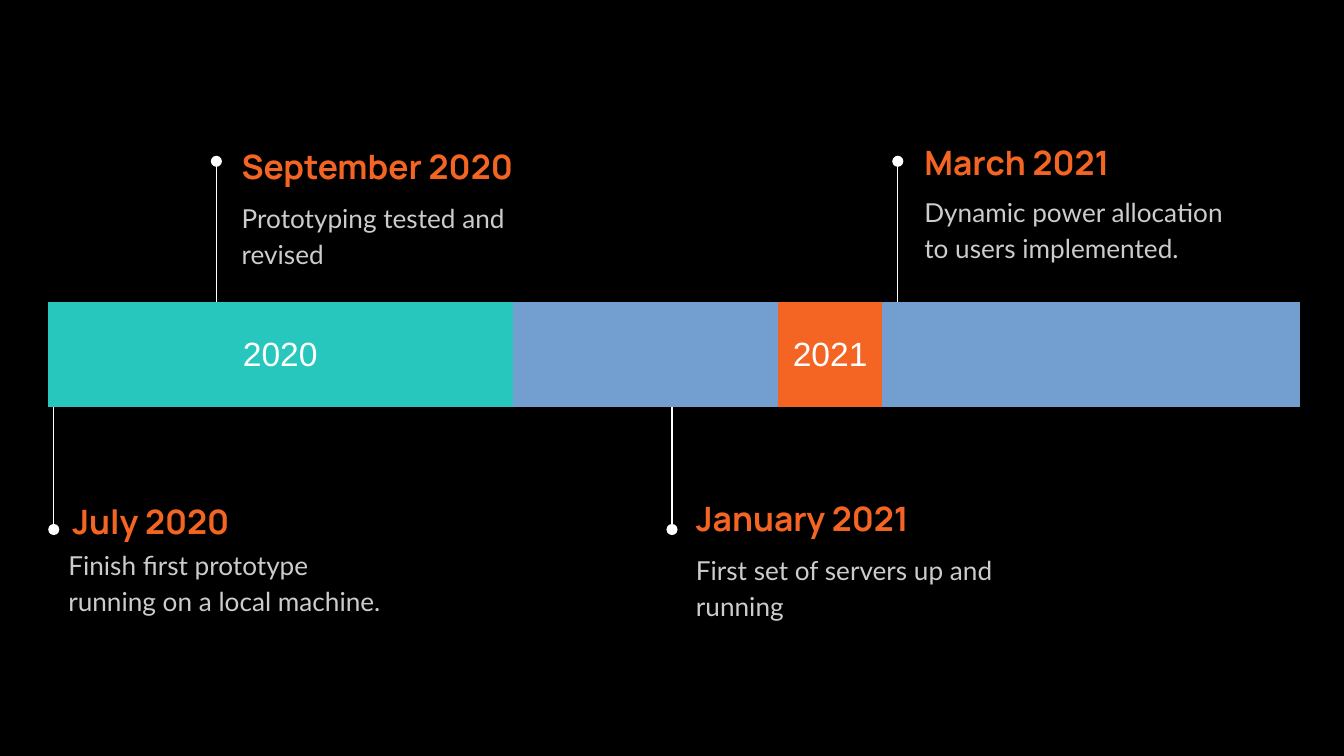
from lxml import etree
from pptx import Presentation
from pptx.dml.color import RGBColor
from pptx.enum.shapes import MSO_CONNECTOR
from pptx.enum.text import MSO_ANCHOR, PP_ALIGN
from pptx.oxml.ns import qn
from pptx.util import Inches, Pt

STRAIGHT = MSO_CONNECTOR.STRAIGHT
TOP, MIDDLE = MSO_ANCHOR.TOP, MSO_ANCHOR.MIDDLE
LEFT, CENTER = PP_ALIGN.LEFT, PP_ALIGN.CENTER

BLACK, WHITE, GREY = "000000", "FFFFFF", "CCCCCC"
TEAL, BLUE, ORANGE = "27C7BD", "729FCF", "F46524"
NO_STYLE_NO_GRID = "{2D5ABB26-0587-4C30-8999-92F81FD0307C}"
SLIDE_WIDTH = 10
SLIDE_HEIGHT = SLIDE_WIDTH * 9 / 16
INSET = 0.1

# Year bar: twelve columns, two of them with a width of their own
BAR_LEFT, BAR_TOP, BAR_WIDTH, BAR_HEIGHT = 0.355, 2.25, 9.32, 0.78
COLUMN_COUNT = 12
SPECIAL_WIDTHS = {3: 1.13, 4: 0.42}
# label, first column, last column, fill
YEARS = [("2020", 0, 3, TEAL), ("2021", 4, 11, ORANGE)]

# Ends of the marker lines: start on the bar, end at the dot
ABOVE = (BAR_TOP, 1.2)
BELOW = (BAR_TOP + BAR_HEIGHT, 3.94)

# heading, heading box, details, details box, marker x, marker span
MILESTONES = [
    ("September 2020", (1.7, 1.02, 2.53, 0.43),
     "Prototyping tested and revised", (1.7, 1.37, 2.53, 0.63), 1.61, ABOVE),
    ("January 2021", (5.08, 3.64, 2.53, 0.43),
     "First set of servers up and running", (5.08, 3.99, 2.53, 0.63), 5, BELOW),
    ("March 2021", (6.78, 0.99, 2.57, 0.43),
     "Dynamic power allocation to users implemented.",
     (6.78, 1.33, 2.57, 0.63), 6.68, ABOVE),
    ("July 2020", (0.44, 3.66, 2.53, 0.43),
     "Finish first prototype running on a local machine.",
     (0.41, 3.95, 2.56, 0.7), 0.4, BELOW),
]


def rgb(color):
    return RGBColor.from_string(color)


def write(frame, text, *, font, size, color, bold=False, align=LEFT, spacing=1.0):
    paragraph = frame.paragraphs[0]
    paragraph.alignment = align
    paragraph.line_spacing = spacing
    run = paragraph.add_run()
    run.text = text
    run.font.name, run.font.size, run.font.bold = font, Pt(size), bold
    run.font.color.rgb = rgb(color)


def set_insets(holder):
    holder.margin_left = holder.margin_right = Inches(INSET)
    holder.margin_top = holder.margin_bottom = Inches(INSET)


def set_fill(fill, color):
    fill.solid()
    fill.fore_color.rgb = rgb(color)


def add_text(slide, box, text, anchor=TOP, **text_format):
    frame = slide.shapes.add_textbox(*map(Inches, box)).text_frame
    frame.word_wrap = True
    frame.vertical_anchor = anchor
    set_insets(frame)
    write(frame, text, **text_format)


def add_year_bar(slide):
    frame = slide.shapes.add_table(
        1, COLUMN_COUNT, Inches(BAR_LEFT), Inches(BAR_TOP),
        Inches(BAR_WIDTH), Inches(BAR_HEIGHT))
    table = frame.table
    table.first_row = table.horz_banding = False
    table._tbl.tblPr.find(qn("a:tableStyleId")).text = NO_STYLE_NO_GRID
    regular_width = ((BAR_WIDTH - sum(SPECIAL_WIDTHS.values()))
                     / (COLUMN_COUNT - len(SPECIAL_WIDTHS)))
    for index, column in enumerate(table.columns):
        column.width = Inches(SPECIAL_WIDTHS.get(index, regular_width))
        set_fill(table.cell(0, index).fill, BLUE)
    for label, first, last, color in YEARS:
        cell = table.cell(0, first)
        cell.merge(table.cell(0, last))
        set_fill(cell.fill, color)
        cell.vertical_anchor = MIDDLE
        set_insets(cell)
        write(cell.text_frame, label, font="Arial", size=18, color=WHITE, align=CENTER)


def add_marker(slide, x, span):
    """Draw a vertical line from the bar to a round dot."""
    start, end = span
    marker = slide.shapes.add_connector(
        STRAIGHT, Inches(x), Inches(start), Inches(x), Inches(end))
    marker.line.color.rgb = rgb(WHITE)
    marker.line.width = Pt(0.75)
    etree.SubElement(marker.line._get_or_add_ln(), qn("a:tailEnd"), type="oval")
    etree.SubElement(marker._element.spPr, qn("a:effectLst"))


def main():
    deck = Presentation()
    deck.slide_width, deck.slide_height = Inches(SLIDE_WIDTH), Inches(SLIDE_HEIGHT)
    slide = deck.slides.add_slide(deck.slide_layouts[6])
    set_fill(slide.background.fill, BLACK)

    add_year_bar(slide)
    for heading, heading_box, details, details_box, x, span in MILESTONES:
        add_marker(slide, x, span)
        add_text(slide, heading_box, heading, anchor=MIDDLE,
                 font="Manrope", size=18, color=ORANGE, bold=True)
        add_text(slide, details_box, details,
                 font="Lato", size=14, color=GREY, spacing=1.15)
    deck.save("out.pptx")


if __name__ == "__main__":
    main()
